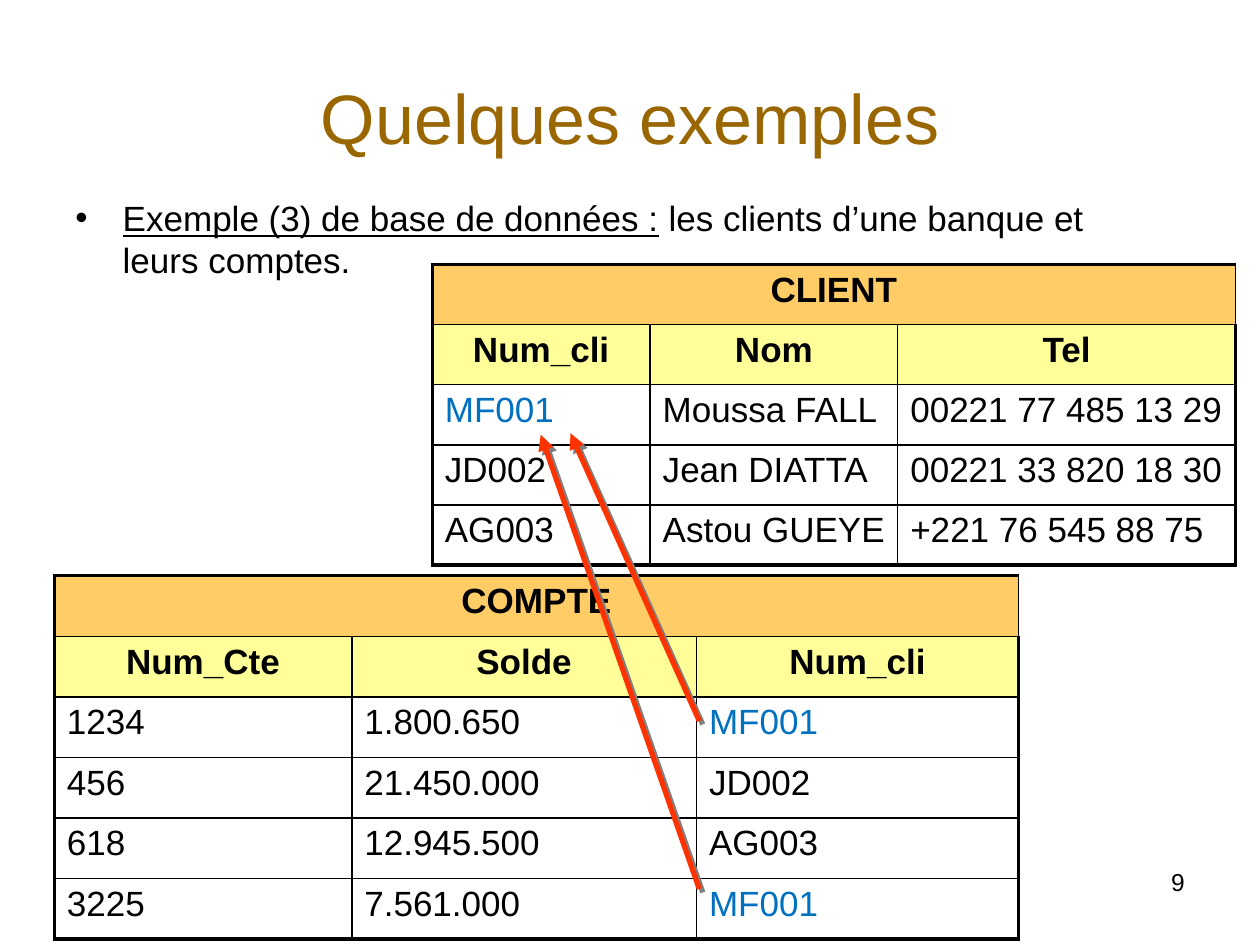
import pptx
import pptx.util
import pptx.oxml
import pptx.dml.color
import pptx.enum.shapes
import pptx.enum.text

Pt = pptx.util.Pt
Color = pptx.dml.color.RGBColor
Align = pptx.enum.text.PP_ALIGN

BLACK = Color(0x00, 0x00, 0x00)
BROWN = Color(0x99, 0x66, 0x00)
ORANGE = Color(0xFF, 0xCC, 0x66)
YELLOW = Color(0xFF, 0xFF, 0x99)
BLUE = Color(0x00, 0x70, 0xC0)
RED = Color(0xFF, 0x33, 0x00)
GREY = Color(0x80, 0x80, 0x80)

FONT = "Arial"
NAMESPACE = 'xmlns:a="http://schemas.openxmlformats.org/drawingml/2006/main"'
THICK, THIN = 2.25, 1
SHARED_KEY = "MF001"

CLIENT = [
    ["CLIENT", "", ""],
    ["Num_cli", "Nom", "Tel"],
    ["MF001", "Moussa FALL", "00221 77 485 13 29"],
    ["JD002", "Jean DIATTA", "00221 33 820 18 30"],
    ["AG003", "Astou GUEYE", "+221 76 545 88 75"],
]
COMPTE = [
    ["COMPTE", "", ""],
    ["Num_Cte", "Solde", "Num_cli"],
    ["1234", "1.800.650", "MF001"],
    ["456", "21.450.000", "JD002"],
    ["618", "12.945.500", "AG003"],
    ["3225", "7.561.000", "MF001"],
]


def xml(markup):
    """Parse one DrawingML element."""
    return pptx.oxml.parse_xml(markup)


def style(font, size, color, bold=False):
    """Set the typeface, size, colour and weight of a font."""
    font.name = FONT
    font.size = Pt(size)
    font.color.rgb = color
    font.bold = bold


def add_title(page, box, text):
    """Place and format the title placeholder."""
    title = page.shapes.title
    title.left, title.top, title.width, title.height = map(Pt, box)
    title.text_frame.text = text
    title.text_frame.vertical_anchor = pptx.enum.text.MSO_ANCHOR.MIDDLE
    para = title.text_frame.paragraphs[0]
    para.alignment = Align.CENTER
    style(para.runs[0].font, 40, BROWN)


def add_text(page, box):
    """Add a wrapping text box and return its first paragraph."""
    shape = page.shapes.add_textbox(*map(Pt, box))
    shape.text_frame.word_wrap = True
    return shape.text_frame.paragraphs[0]


def add_bullet(page, box, heading, rest):
    """Add the bulleted sentence with its underlined heading."""
    para = add_text(page, box)
    properties = para._p.get_or_add_pPr()
    properties.set("marL", str(Pt(27)))
    properties.set("indent", str(Pt(-27)))
    properties.append(xml(f'<a:buFont {NAMESPACE} typeface="{FONT}"/>'))
    properties.append(xml(f'<a:buChar {NAMESPACE} char="•"/>'))
    for text, underlined in ((heading, True), (rest, False)):
        span = para.add_run()
        span.text = text
        style(span.font, 20, BLACK)
        span.font.underline = underlined


def add_page_number(page, box, number):
    """Add the right-aligned page number."""
    para = add_text(page, box)
    para.text = number
    para.alignment = Align.RIGHT
    style(para.runs[0].font, 14, BLACK)


def set_borders(cell, widths):
    """Draw the left, right, top and bottom borders of a cell."""
    properties = cell._tc.get_or_add_tcPr()
    for index, (side, width) in enumerate(zip("LRTB", widths)):
        properties.insert(index, xml(
            f'<a:ln{side} {NAMESPACE} w="{Pt(width)}"><a:solidFill>'
            f'<a:srgbClr val="{BLACK}"/></a:solidFill></a:ln{side}>'))


def add_relation(page, box, column_widths, rows):
    """Add a database table with a name row, a header row and its records."""
    row_count, column_count = len(rows), len(column_widths)
    frame = page.shapes.add_table(row_count, column_count, *map(Pt, box))
    table = frame.table
    table.first_row = table.horz_banding = False
    for column, width in zip(table.columns, column_widths):
        column.width = Pt(width)
    for row in table.rows:
        row.height = Pt(box[3] / row_count)
    table.cell(0, 0).merge(table.cell(0, column_count - 1))
    for i, record in enumerate(rows):
        for j, text in enumerate(record):
            cell = table.cell(i, j)
            if i < 2:
                cell.fill.solid()
                cell.fill.fore_color.rgb = (ORANGE, YELLOW)[i]
            else:
                cell.fill.background()
            edges = (j == 0, j == column_count - 1, i == 0, i == row_count - 1)
            set_borders(cell, [THICK if edge else THIN for edge in edges])
            if text:
                cell.text_frame.text = text
                para = cell.text_frame.paragraphs[0]
                para.alignment = Align.CENTER if i < 2 else Align.LEFT
                color = BLUE if text == SHARED_KEY else BLACK
                style(para.runs[0].font, 20, color, bold=i < 2)


def add_arrow(page, start, end):
    """Add a shadowed arrow from a foreign key to the key it refers to."""
    arrow = page.shapes.add_connector(
        pptx.enum.shapes.MSO_CONNECTOR.STRAIGHT, *map(Pt, start + end))
    arrow.line.color.rgb = RED
    arrow.line.width = Pt(3)
    arrow.line._get_or_add_ln().append(
        xml(f'<a:tailEnd {NAMESPACE} type="triangle"/>'))
    arrow._element.spPr.append(xml(
        f'<a:effectLst {NAMESPACE}><a:outerShdw dist="{Pt(2.8)}" '
        f'dir="2700000" algn="ctr" rotWithShape="0">'
        f'<a:srgbClr val="{GREY}"/></a:outerShdw></a:effectLst>'))


def main():
    """Build the slide and save the deck."""
    deck = pptx.Presentation()
    deck.slide_width, deck.slide_height = Pt(720), Pt(540)
    page = deck.slides.add_slide(deck.slide_layouts[5])
    add_page_number(page, (516, 492, 168, 37), "9")
    add_title(page, (36, 21.6, 648, 90), "Quelques exemples")
    add_bullet(page, (36, 109, 636, 47.5), "Exemple (3) de base de données :",
               " les clients d’une banque et leurs comptes.")
    add_relation(page, (247, 151, 459, 172), (124.5, 141.5, 193), CLIENT)
    add_relation(page, (31, 329, 551, 207.5), (170, 197, 184), COMPTE)
    add_arrow(page, (399.6, 412), (326, 247.6))
    add_arrow(page, (399.6, 508), (309, 248.4))
    deck.save("out.pptx")


if __name__ == "__main__":
    main()
